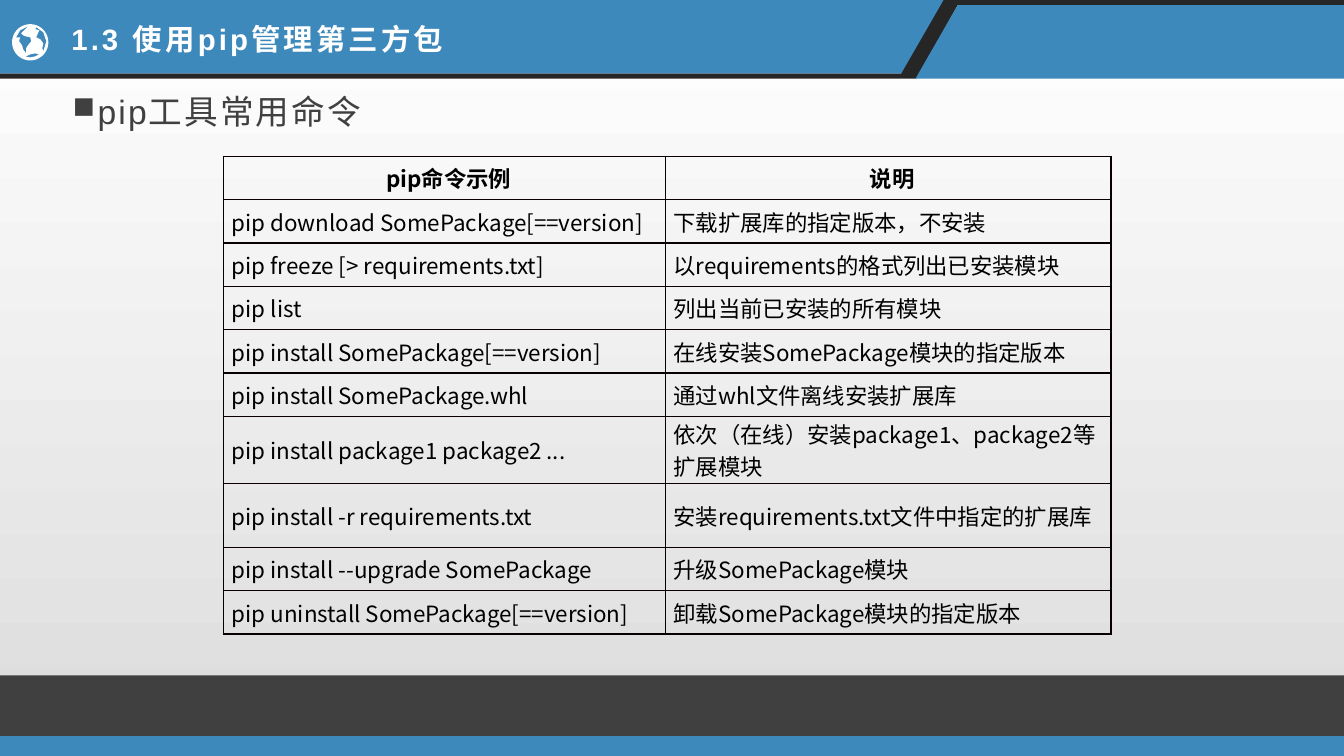
from dataclasses import dataclass
from math import cos, pi, sin

from lxml.etree import SubElement
from pptx import Presentation
from pptx.dml.color import RGBColor
from pptx.enum.shapes import MSO_SHAPE
from pptx.enum.text import MSO_ANCHOR, PP_ALIGN
from pptx.oxml import parse_xml
from pptx.oxml.ns import nsdecls, qn
from pptx.util import Inches, Pt


@dataclass(frozen=True)
class Theme:
    blue: str = "3D89BC"
    dark: str = "262626"
    gray: str = "404040"
    white: str = "FFFFFF"
    fade: str = "DCDCDC"
    black: str = "000000"
    rule: str = "080000"
    latin: str = "Arial"
    han: str = "Noto Sans CJK SC"
    title: float = 21
    body: float = 24
    cell: float = 16


THEME = Theme()

ROWS = [
    ("pip命令示例", "说明"),
    ("pip download SomePackage[==version]", "下载扩展库的指定版本，不安装"),
    ("pip freeze [> requirements.txt]", "以requirements的格式列出已安装模块"),
    ("pip list", "列出当前已安装的所有模块"),
    ("pip install SomePackage[==version]", "在线安装SomePackage模块的指定版本"),
    ("pip install SomePackage.whl", "通过whl文件离线安装扩展库"),
    ("pip install package1 package2 ...", "依次（在线）安装package1、package2等扩展模块"),
    ("pip install -r requirements.txt", "安装requirements.txt文件中指定的扩展库"),
    ("pip install --upgrade SomePackage", "升级SomePackage模块"),
    ("pip uninstall SomePackage[==version]", "卸载SomePackage模块的指定版本"),
]
COLS = (4.38, 4.42)
TALL = {6: 0.67, 7: 0.63}

# Land outlines of the globe
LANDS = [
    [(0.46, 0.41), (0.43, 0.51), (0.42, 0.48), (0.43, 0.43), (0.4, 0.39),
     (0.36, 0.37), (0.39, 0.3), (0.35, 0.29), (0.36, 0.27), (0.43, 0.32)],
    [(0.28, 0.26), (0.26, 0.28), (0.24, 0.3), (0.21, 0.33), (0.23, 0.35),
     (0.25, 0.36), (0.3, 0.37), (0.31, 0.41), (0.27, 0.46), (0.26, 0.48),
     (0.26, 0.53), (0.23, 0.49), (0.22, 0.45), (0.19, 0.41), (0.2, 0.37),
     (0.16, 0.37), (0.2, 0.3)],
    [(0.25, 0.56), (0.28, 0.55), (0.3, 0.54), (0.35, 0.53), (0.39, 0.54),
     (0.35, 0.56), (0.3, 0.57)],
]


def paint(shape, color):
    shape.shadow.inherit = False
    shape.fill.solid()
    shape.fill.fore_color.rgb = RGBColor.from_string(color)
    shape.line.fill.background()


def trace(slide, loops, color):
    """Draw one filled outline made of closed loops."""
    loops = [[(Inches(x), Inches(y)) for x, y in loop] for loop in loops]
    pen = slide.shapes.build_freeform(*loops[0][0])
    for i, loop in enumerate(loops):
        if i:
            pen.move_to(*loop[0])
        pen.add_line_segments(loop[1:], close=True)
    paint(pen.convert_to_shape(), color)


def band(slide, top, high, color):
    bar = slide.shapes.add_shape(MSO_SHAPE.RECTANGLE, 0, Inches(top),
                                 Inches(13.33), Inches(high))
    paint(bar, color)


def write(para, text, size, color, name=THEME.latin, bold=False, gap=0):
    run = para.add_run()
    run.text = text
    font = run.font
    font.size, font.bold, font.name = Pt(size), bold, name
    font.color.rgb = RGBColor.from_string(color)
    props = run._r.get_or_add_rPr()
    SubElement(props, qn("a:ea"), typeface=THEME.han)
    if gap:
        props.set("spc", str(round(gap * 100)))


def text_box(slide, left, top, wide, high, anchor):
    frame = slide.shapes.add_textbox(Inches(left), Inches(top),
                                     Inches(wide), Inches(high)).text_frame
    frame.word_wrap = True
    frame.vertical_anchor = anchor
    return frame


def bullet(para, mark, inset):
    props = para._p.get_or_add_pPr()
    props.set("marL", str(Inches(inset)))
    props.set("indent", str(-Inches(inset)))
    SubElement(props, qn("a:buSzPct"), val="90000")
    SubElement(props, qn("a:buChar"), char=mark)


def border(cell):
    props = cell._tc.get_or_add_tcPr()
    for i, side in enumerate("LRTB"):
        props.insert(i, parse_xml(
            f'<a:ln{side} {nsdecls("a")} w="{Pt(1)}"><a:solidFill>'
            f'<a:srgbClr val="{THEME.rule}"/></a:solidFill></a:ln{side}>'))


def grid(slide, left, top):
    highs = [TALL.get(i, 0.43) for i in range(len(ROWS))]
    table = slide.shapes.add_table(
        len(ROWS), len(COLS), Inches(left), Inches(top),
        Inches(sum(COLS)), Inches(sum(highs))).table
    table.first_row = table.horz_banding = False
    for col, wide in zip(table.columns, COLS):
        col.width = Inches(wide)
    for i, (row, high) in enumerate(zip(table.rows, highs)):
        row.height = Inches(high)
        for cell, text in zip(row.cells, ROWS[i]):
            cell.fill.background()
            border(cell)
            cell.vertical_anchor = MSO_ANCHOR.MIDDLE
            cell.margin_left = Inches(0.08)
            cell.margin_top = cell.margin_right = cell.margin_bottom = 0
            para = cell.text_frame.paragraphs[0]
            para.alignment = PP_ALIGN.LEFT if i else PP_ALIGN.CENTER
            write(para, text, THEME.cell, THEME.black, name=THEME.han,
                  bold=i == 0)


def backdrop(slide):
    fill = slide.background.fill
    fill.gradient()
    fill.gradient_angle = 270
    for stop, color, place in zip(fill.gradient_stops,
                                  (THEME.white, THEME.fade), (0, 1)):
        stop.color.rgb = RGBColor.from_string(color)
        stop.position = place


def header(slide):
    trace(slide, [[(0, 0), (9.4, 0), (8.99, 0.73), (0, 0.73)]], THEME.blue)
    trace(slide, [[(9.36, 0), (13.33, 0), (13.33, 0.05), (9.5, 0.05),
                   (9.09, 0.78), (0, 0.78), (0, 0.73), (8.94, 0.73)]],
          THEME.dark)
    trace(slide, [[(9.5, 0.05), (13.33, 0.05), (13.33, 0.78), (9.08, 0.78)]],
          THEME.blue)


def globe(slide):
    turns = [2 * pi * i / 48 for i in range(48)]
    rim = [(0.3 + 0.18 * cos(t), 0.42 + 0.18 * sin(t)) for t in turns]
    trace(slide, [rim, *LANDS], THEME.white)


def main():
    deck = Presentation()
    deck.slide_width, deck.slide_height = Inches(13.33), Inches(7.5)
    slide = deck.slides.add_slide(deck.slide_layouts[6])

    # Background, header and footer
    backdrop(slide)
    header(slide)
    band(slide, 7.29, 0.21, THEME.blue)
    band(slide, 6.7, 0.6, THEME.gray)
    globe(slide)

    # Title
    frame = text_box(slide, 0.61, 0.16, 5.9, 0.45, MSO_ANCHOR.MIDDLE)
    write(frame.paragraphs[0], "1.3 使用pip管理第三方包", THEME.title,
          THEME.white, bold=True, gap=2.2)

    # Lead line
    frame = text_box(slide, 0.61, 0.98, 12.2, 5.53, MSO_ANCHOR.TOP)
    frame.margin_left, frame.margin_right = Inches(0.11), Inches(0.09)
    frame.margin_top = frame.margin_bottom = 0
    para = frame.paragraphs[0]
    bullet(para, "■", 0.25)
    para.line_spacing, para.space_after = 0.8, Pt(10)
    write(para, "pip工具常用命令", THEME.body, THEME.gray, gap=1.5)

    # Command table
    grid(slide, 2.22, 1.55)
    deck.save("out.pptx")


if __name__ == "__main__":
    main()
